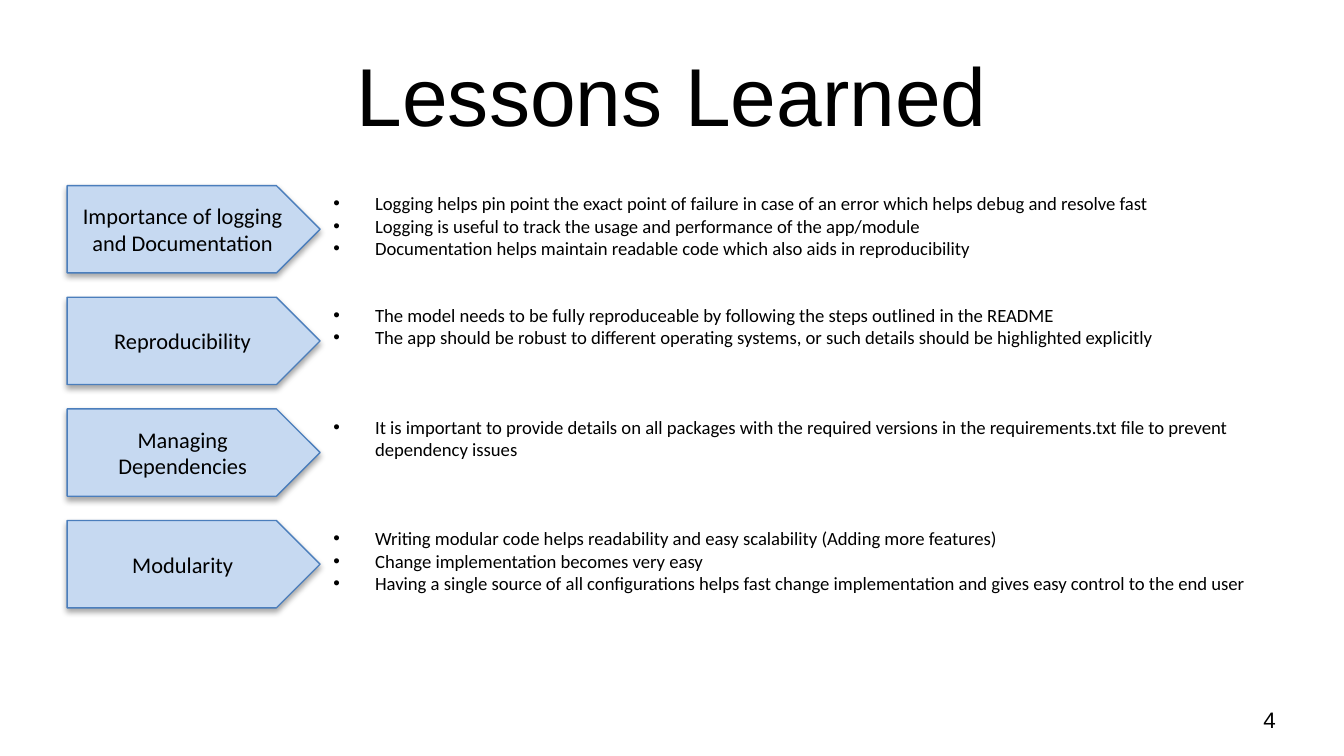
"""Build the "Lessons Learned" slide: four labelled arrows with bullet notes."""
import pptx
import pptx.dml.color
import pptx.enum.shapes
import pptx.enum.text
import pptx.oxml
import pptx.oxml.ns
import pptx.util
from pptx.util import Cm

BLACK = pptx.dml.color.RGBColor(0x00, 0x00, 0x00)
PALE_BLUE = pptx.dml.color.RGBColor(0xC6, 0xD9, 0xF1)
EDGE_BLUE = pptx.dml.color.RGBColor(0x4B, 0x7E, 0xBC)
ALIGN = pptx.enum.text.PP_ALIGN
MIDDLE = pptx.enum.text.MSO_ANCHOR.MIDDLE
NAMESPACE = pptx.oxml.ns.nsdecls("a")

ARROW_LEFT, ARROW_WIDTH, ARROW_HEIGHT = Cm(1.27), Cm(4.78), Cm(1.65)
FIRST_TOP, ROW_PITCH = Cm(3.51), Cm(2.11)
NOTES_WIDTH, NOTES_HEIGHT = Cm(18.08), Cm(1.55)
BULLET_INDENT = Cm(0.79)

LESSONS = [
    ("Importance of logging and Documentation", [
        "Logging helps pin point the exact point of failure in case of an error which helps debug and resolve fast",
        "Logging is useful to track the usage and performance of the app/module",
        "Documentation helps maintain readable code which also aids in reproducibility",
    ]),
    ("Reproducibility", [
        "The model needs to be fully reproduceable by following the steps outlined in the README",
        "The app should be robust to different operating systems, or such details should be highlighted explicitly",
    ]),
    ("Managing Dependencies", [
        "It is important to provide details on all packages with the required versions in the "
        "requirements.txt file to prevent dependency issues",
    ]),
    ("Modularity", [
        "Writing modular code helps readability and easy scalability (Adding more features)",
        "Change implementation becomes very easy",
        "Having a single source of all configurations helps fast change implementation "
        "and gives easy control to the end user",
    ]),
]


def write(para, text, size, font_name, alignment):
    para.text = text
    para.alignment = alignment
    para.font.size = pptx.util.Pt(size)
    para.font.name = font_name
    para.font.color.rgb = BLACK


def add_bullet(para):
    properties = para._p.get_or_add_pPr()
    properties.set("marL", str(BULLET_INDENT))
    properties.set("indent", str(-BULLET_INDENT))
    bullet_font = pptx.oxml.parse_xml(f'<a:buFont {NAMESPACE} typeface="Arial"/>')
    bullet = pptx.oxml.parse_xml(f'<a:buChar {NAMESPACE} char="•"/>')
    properties.insert(0, bullet_font)
    properties.insert(1, bullet)


deck = pptx.Presentation()
deck.slide_width, deck.slide_height = Cm(25.4), Cm(14.29)
page = deck.slides.add_slide(deck.slide_layouts[5])

title = page.shapes.title
title.left, title.top, title.width, title.height = Cm(1.27), Cm(0.58), Cm(22.86), Cm(2.39)
title.text_frame.vertical_anchor = MIDDLE
write(title.text_frame.paragraphs[0], "Lessons Learned", 44, "Arial", ALIGN.CENTER)

number_box = page.shapes.add_textbox(Cm(18.44), Cm(13.23), Cm(5.92), Cm(0.76))
number_box.text_frame.word_wrap = True
number_box.text_frame.vertical_anchor = MIDDLE
write(number_box.text_frame.paragraphs[0], "4", 12, "Arial", ALIGN.RIGHT)

for row, (lesson, notes) in enumerate(LESSONS):
    top = FIRST_TOP + row * ROW_PITCH
    arrow = page.shapes.add_shape(
        pptx.enum.shapes.MSO_SHAPE.PENTAGON, ARROW_LEFT, top, ARROW_WIDTH, ARROW_HEIGHT)
    arrow.fill.solid()
    arrow.fill.fore_color.rgb = PALE_BLUE
    arrow.line.color.rgb = EDGE_BLUE
    arrow.line.width = pptx.util.Pt(0.75)
    arrow.shadow.inherit = False
    effects = arrow._element.spPr.find(pptx.oxml.ns.qn("a:effectLst"))
    effects.append(pptx.oxml.parse_xml(
        f'<a:outerShdw {NAMESPACE} blurRad="40000" dist="23000" dir="5400000" rotWithShape="0">'
        '<a:srgbClr val="000000"><a:alpha val="35000"/></a:srgbClr></a:outerShdw>'))
    arrow.text_frame.word_wrap = True
    arrow.text_frame.vertical_anchor = MIDDLE
    write(arrow.text_frame.paragraphs[0], lesson, 12, "Calibri", ALIGN.CENTER)

    notes_box = page.shapes.add_textbox(
        ARROW_LEFT + ARROW_WIDTH, top, NOTES_WIDTH, NOTES_HEIGHT)
    frame = notes_box.text_frame
    frame.word_wrap = True
    for index, note in enumerate(notes):
        para = frame.add_paragraph() if index else frame.paragraphs[0]
        write(para, note, 10, "Calibri", ALIGN.LEFT)
        add_bullet(para)

deck.save("out.pptx")
